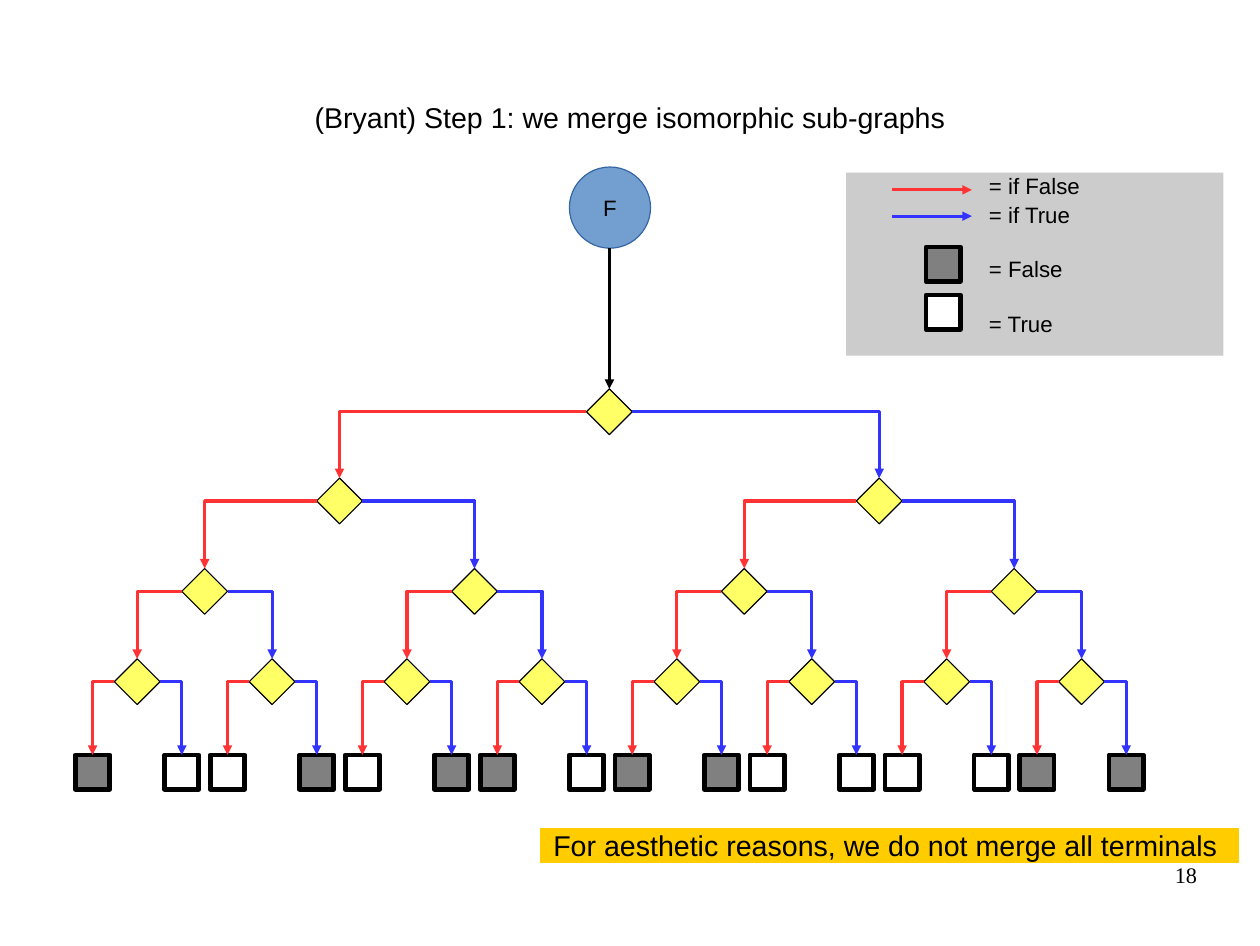
from lxml import etree
from pptx import Presentation
from pptx import util as u
from pptx.dml.color import RGBColor
from pptx.enum import shapes, text
from pptx.oxml import ns

HEX = {"black": "000000", "white": "FFFFFF", "grey": "808080", "panel": "CCCCCC",
       "red": "FF3333", "blue": "3333FF", "yellow": "FFFF66", "gold": "FFCC00",
       "disc": "729FCF", "rim": "3465A4"}
RGB = {name: RGBColor.from_string(code) for name, code in HEX.items()}
KIND, LINK = shapes.MSO_SHAPE, shapes.MSO_CONNECTOR
ALIGN = text.PP_ALIGN

deck = Presentation()
deck.slide_width, deck.slide_height = u.Inches(11.02), u.Inches(8.27)
slide = deck.slides.add_slide(deck.slide_layouts[6])
items = slide.shapes


def add_node(kind, x, y, w, h, fill, edge=None, width=0):
    node = items.add_shape(kind, *map(u.Inches, (x, y, w, h)))
    node.shadow.inherit = False
    node.fill.solid()
    node.fill.fore_color.rgb = RGB[fill]
    if edge:
        node.line.color.rgb = RGB[edge]
        node.line.width = u.Pt(width)
    else:
        node.line.fill.background()
    return node


def add_arrow(kind, x1, y1, x2, y2, color):
    arrow = items.add_connector(kind, *map(u.Inches, (x1, y1, x2, y2)))
    arrow.line.color.rgb = RGB[color]
    arrow.line.width = u.Pt(0)
    props = arrow.element.spPr
    etree.SubElement(props.find(ns.qn("a:ln")), ns.qn("a:tailEnd"), type="triangle")
    etree.SubElement(props, ns.qn("a:effectLst"))
    if kind == LINK.ELBOW:
        props.find(ns.qn("a:prstGeom")).set("prst", "bentConnector2")
    return arrow


# Legend
panel = add_node(KIND.RECTANGLE, 7.4, 1.51, 3.3, 1.6, "panel")
for y, color in ((1.66, "red"), (1.89, "blue")):
    add_arrow(LINK.STRAIGHT, 7.8, y, 8.5, y, color)
for y, fill in ((2.16, "grey"), (2.58, "white")):
    add_node(KIND.RECTANGLE, 8.1, y, 0.3, 0.3, fill, "black", 3)

# Function at the top
func = add_node(KIND.OVAL, 4.98, 1.46, 0.71, 0.71, "disc", "rim")

# Decision tree: row height, offset of a row from its parents
SIZE, BOX = 0.4, 0.3
ROWS = ((4.38, 2.36), (5.17, 1.18), (5.96, 0.59), (6.75, 0.39))
LEAVES = "FTTFTFFTFFTTTTFF"
root = add_node(KIND.DIAMOND, 5.33 - SIZE / 2, 3.4, SIZE, SIZE, "yellow", "black")
stem = add_arrow(LINK.STRAIGHT, 5.33, 2.17, 5.33, 3.4, "black")
stem.end_connect(root, 0)

row = [(root, 5.33)]
for y, gap in ROWS:
    kids = []
    for top, mid in row:
        for side, site, color in ((-1, 1, "red"), (1, 3, "blue")):
            x = mid + side * gap
            if y == ROWS[-1][0]:
                fill = "grey" if LEAVES[len(kids)] == "F" else "white"
                kid = add_node(KIND.RECTANGLE, x - BOX / 2, y - BOX / 2,
                               BOX, BOX, fill, "black", 3)
            else:
                kid = add_node(KIND.DIAMOND, x - SIZE / 2, y - SIZE / 2,
                               SIZE, SIZE, "yellow", "black")
            edge = add_arrow(LINK.ELBOW, mid, y - 0.8, x, y, color)
            edge.begin_connect(top, site)
            edge.end_connect(kid, 0)
            kids.append((kid, x))
    row = kids

# Title, closing note and page number
title = items.add_textbox(*map(u.Inches, (0.55, 0.33, 9.92, 1.38)))
note = add_node(KIND.RECTANGLE, 4.73, 7.24, 6.1, 0.3, "gold", "gold")
page = items.add_textbox(*map(u.Inches, (7.9, 7.53, 2.57, 0.57)))

# Wording: shape, text, size, font, alignment, anchor, left inset
MID, TOP = text.MSO_ANCHOR.MIDDLE, text.MSO_ANCHOR.TOP
WORDS = (
    (title, "(Bryant) Step 1: we merge isomorphic sub-graphs", 18, "Arial", ALIGN.CENTER, MID, 0),
    (func, "F", 14, "Arial", ALIGN.CENTER, MID, 0),
    (panel, "= if False\n= if True\n= False\n= True", 14, "Arial", ALIGN.LEFT, TOP, 1.25),
    (note, "For aesthetic reasons, we do not merge all terminals", 18, "Arial", ALIGN.LEFT, MID, 0.11),
    (page, "18", 14, "Times New Roman", ALIGN.RIGHT, TOP, 0),
)
for shape, words, size, font, align, anchor, inset in WORDS:
    frame = shape.text_frame
    frame.text = words
    frame.word_wrap = True
    frame.vertical_anchor = anchor
    frame.margin_left = u.Inches(inset)
    frame.margin_right = frame.margin_top = frame.margin_bottom = 0
    for para in frame.paragraphs:
        para.alignment = align
        for run in para.runs:
            run.font.size = u.Pt(size)
            run.font.name = font
            run.font.color.rgb = RGB["black"]

# Legend line gaps
for para, space in zip(panel.text_frame.paragraphs[1:], (1, 17.5, 17.5)):
    para.space_before = u.Pt(space)

deck.save("out.pptx")
